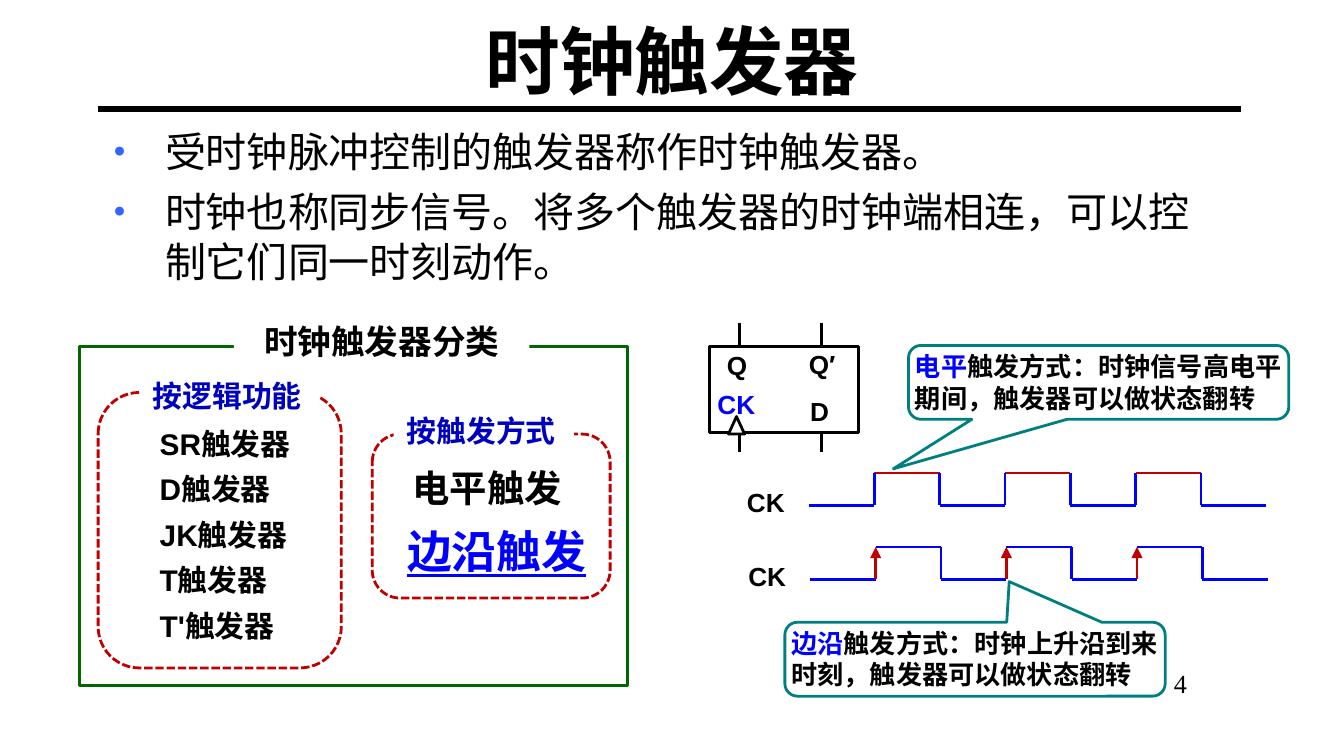
from lxml import etree
from pptx import Presentation
from pptx import util as u
from pptx.dml.color import RGBColor
from pptx.enum import dml, shapes, text
from pptx.oxml.ns import qn

PX = 9144
BLACK = RGBColor(0x00, 0x00, 0x00)
WHITE = RGBColor(0xFF, 0xFF, 0xFF)
BLUE = RGBColor(0x00, 0x00, 0xFF)
NAVY = RGBColor(0x00, 0x00, 0xBF)
RED = RGBColor(0xC0, 0x00, 0x00)
GREEN = RGBColor(0x00, 0x66, 0x00)
TEAL = RGBColor(0x00, 0x7F, 0x80)
LATIN, HAN, SERIF = "Arial", "Noto Sans CJK SC", "Times New Roman"
CENTER, RIGHT = text.PP_ALIGN.CENTER, text.PP_ALIGN.RIGHT
KINDS = shapes.MSO_SHAPE

TITLE = "时钟触发器"
POINTS = [
    "受时钟脉冲控制的触发器称作时钟触发器。",
    "时钟也称同步信号。将多个触发器的时钟端相连，可以控制它们同一时刻动作。",
]
FLIP_FLOPS = ["SR", "D", "JK", "T", "T'"]
DASHED_GROUPS = [
    ((73, 292, 181, 205), (104, 276, 134, 35), "按逻辑功能"),
    ((277, 323, 177, 122), (293, 302, 134, 35), "按触发方式"),
]
TRIGGERS = [
    ((297, 341, 140, 44), "电平触发", 20, BLACK, False),
    ((293, 385, 175, 40), "边沿触发", 24, BLUE, True),
]
PINS = [
    ((524, 284, 73, 35), "CK", BLUE),
    ((593, 289, 37, 34), "D", BLACK),
    ((531, 255, 61, 28), "Q", BLACK),
    ((592, 254, 61, 47), "Q′", BLACK),
]
WAVES = [
    ((546, 357), (602, 352), RED, BLUE, False),
    ((547, 412), (603, 407), BLUE, RED, True),
]
WAVE_STEP, WAVE_HEIGHT, PULSES = 48.6, 24, 3
CALLOUTS = [
    ((584, 463), (0.09, -1.05), "边沿", "触发方式：时钟上升沿到来时刻，触发器可以做状态翻转"),
    ((676, 257), (-0.54, 1.17), "电平", "触发方式：时钟信号高电平期间，触发器可以做状态翻转"),
]

deck = Presentation()
deck.slide_width = 1000 * PX
deck.slide_height = deck.slide_width * 9 // 16
slide = deck.slides.add_slide(deck.slide_layouts[6])


def emu(lengths):
    return [round(length * PX) for length in lengths]


def write(frame, paragraphs, size, bold=True, align=None, anchor=text.MSO_ANCHOR.TOP):
    frame.word_wrap = True
    frame.vertical_anchor = anchor
    for index, pieces in enumerate(paragraphs):
        paragraph = frame.add_paragraph() if index else frame.paragraphs[0]
        paragraph.alignment = align or text.PP_ALIGN.LEFT
        for words, face, color in pieces:
            run = paragraph.add_run()
            run.text = words
            run.font.size, run.font.bold = u.Pt(size), bold
            run.font.name, run.font.color.rgb = face, color
            east_asian = etree.SubElement(run.font._element, qn("a:ea"))
            east_asian.set("typeface", HAN)
    return frame


def label(place, paragraphs, size, **options):
    return write(slide.shapes.add_textbox(*emu(place)).text_frame, paragraphs, size, **options)


def shape(kind, place, fill=None, line=None, adjustments=()):
    item = slide.shapes.add_shape(kind, *emu(place))
    item.shadow.inherit = False
    for index, value in enumerate(adjustments):
        item.adjustments[index] = value
    if fill is None:
        item.fill.background()
    else:
        item.fill.solid()
        item.fill.fore_color.rgb = fill
    if line is None:
        item.line.fill.background()
    else:
        item.line.color.rgb, item.line.width = line, u.Pt(1.5)
    return item


def stroke(start, end, color, width=1.5, arrow=False):
    item = slide.shapes.add_connector(shapes.MSO_CONNECTOR.STRAIGHT, *emu((*start, *end)))
    item.line.color.rgb, item.line.width = color, u.Pt(width)
    if arrow:
        etree.SubElement(item.line._get_or_add_ln(), qn("a:tailEnd")).set("type", "triangle")
    etree.SubElement(item._element.spPr, qn("a:effectLst"))


def bullet(paragraph):
    properties = paragraph._p.get_or_add_pPr()
    properties.set("marL", str(38 * PX))
    properties.set("indent", str(-38 * PX))
    color = etree.SubElement(properties, qn("a:buClr"))
    etree.SubElement(color, qn("a:srgbClr")).set("val", "3366FF")
    etree.SubElement(properties, qn("a:buSzPct")).set("val", "80000")
    etree.SubElement(properties, qn("a:buFont")).set("typeface", LATIN)
    etree.SubElement(properties, qn("a:buChar")).set("char", "•")


def wave(left, top, high, rise, arrow):
    low = top + WAVE_HEIGHT
    xs = [left + step * WAVE_STEP for step in range(2 * PULSES + 2)]
    stroke((xs[0], low), (xs[1], low), BLUE)
    for up, down, end in zip(xs[1::2], xs[2::2], xs[3::2]):
        stroke((up, top), (down, top), high)
        stroke((down, top), (down, low), BLUE)
        stroke((up, low), (up, top), rise, arrow=arrow)
        stroke((down, low), (end, low), BLUE)


stroke((73, 81), (923, 81), BLACK, 3)
label((75, 12, 850, 65), [[(TITLE, LATIN, BLACK)]], 40, align=CENTER, anchor=text.MSO_ANCHOR.MIDDLE)
points = label((75, 89, 850, 411), [[(point, HAN, BLACK)] for point in POINTS], 22, bold=False)
for index, paragraph in enumerate(points.paragraphs):
    paragraph.space_before = u.Pt(6 if index else 0)
    bullet(paragraph)

shape(KINDS.RECTANGLE, (59, 258, 408, 252), line=GREEN)
kinds = [[(name, LATIN, BLACK), ("触发器", HAN, BLACK)] for name in FLIP_FLOPS]
for index, paragraph in enumerate(label((109, 316, 161, 178), kinds, 16).paragraphs):
    paragraph.line_spacing = 0.85
    paragraph.space_before = u.Pt(8 if index else 0)
for frame, heading, words in DASHED_GROUPS:
    border = shape(KINDS.ROUNDED_RECTANGLE, frame, line=RED, adjustments=[0.17])
    border.line.dash_style = dml.MSO_LINE.SQUARE_DOT
    write(shape(KINDS.RECTANGLE, heading, WHITE).text_frame, [[(words, HAN, NAVY)]], 16)
for place, words, size, color, underlined in TRIGGERS:
    trigger = label(place, [[(words, HAN, color)]], size)
    trigger.paragraphs[0].runs[0].font.underline = underlined
heading = shape(KINDS.RECTANGLE, (174, 234, 220, 40), WHITE)
write(heading.text_frame, [[("时钟触发器分类", LATIN, BLACK)]], 18, align=CENTER)

for clock, origin, high, rise, arrow in WAVES:
    label((*clock, 83, 34), [[("CK", LATIN, BLACK)]], 14)
    wave(*origin, high, rise, arrow)

for lead in (611, 550):
    stroke((lead, 240), (lead, 336), BLACK)
shape(KINDS.RECTANGLE, (528, 258, 111, 64), WHITE, BLACK)
for place, words, color in PINS:
    label(place, [[(words, LATIN, color)]], 14)
shape(KINDS.ISOSCELES_TRIANGLE, (542, 310, 12, 13), WHITE, BLACK)

for (left, top), tip, mode, rest in CALLOUTS:
    shape(KINDS.ROUNDED_RECTANGULAR_CALLOUT, (left, top, 283, 55), WHITE, TEAL, (*tip, 0.17))
    label((left - 5, top - 1, 297, 57), [[(mode, HAN, BLUE), (rest, HAN, BLACK)]], 14)

label((685, 489, 208, 38), [[("4", SERIF, BLACK)]], 14, bold=False, align=RIGHT,
      anchor=text.MSO_ANCHOR.MIDDLE)

deck.save("out.pptx")
